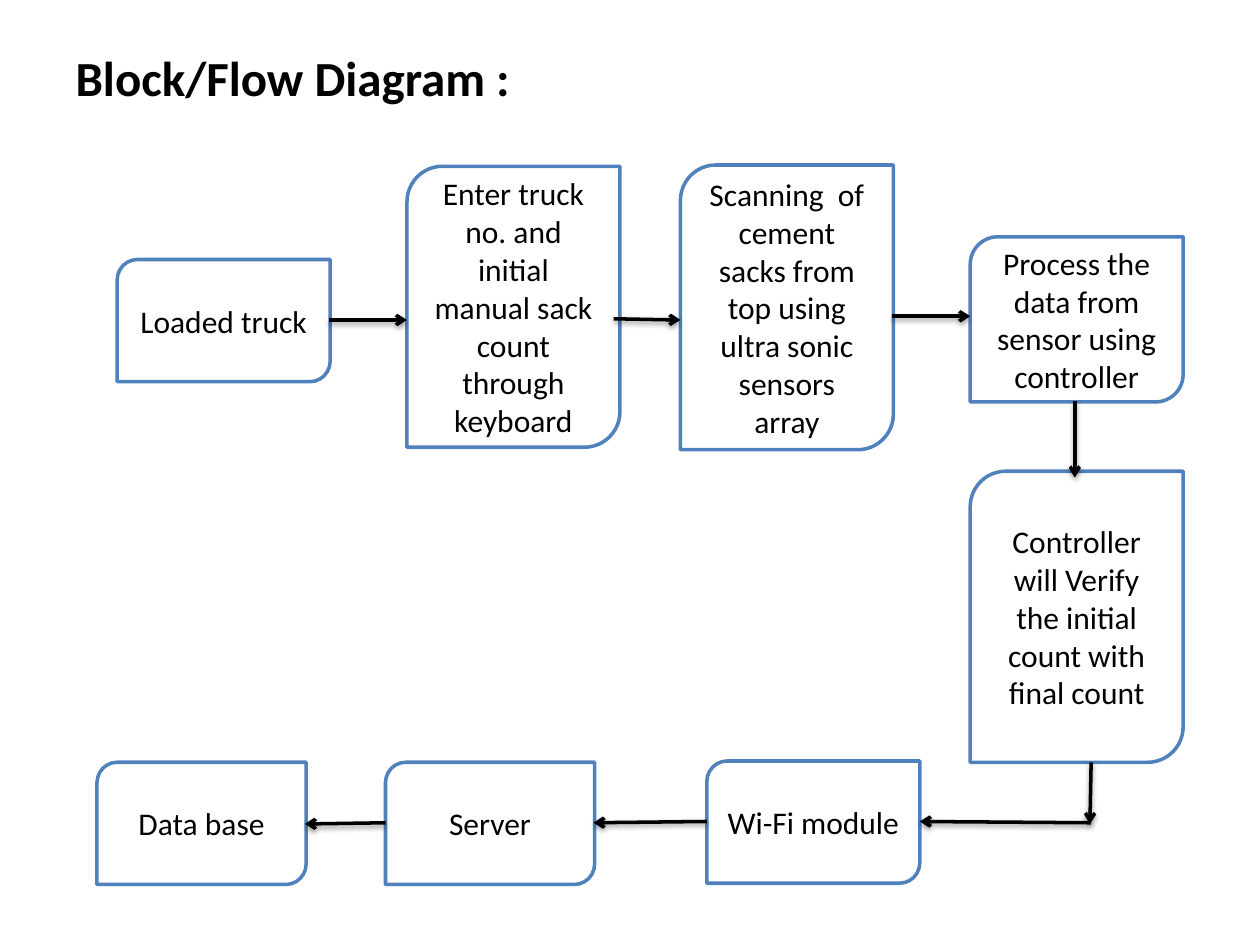
from lxml.etree import SubElement
from pptx import Presentation
from pptx.dml.color import RGBColor
from pptx.enum.shapes import MSO_CONNECTOR, MSO_SHAPE
from pptx.enum.text import MSO_ANCHOR, PP_ALIGN
from pptx.oxml.ns import qn
from pptx.util import Inches, Pt

COLORS = {"ink": "000000", "paper": "FFFFFF", "border": "4F81BD"}
GRID_COLUMNS, GRID_ROWS = 100, 75


def write_text(frame, text, size=18, bold=False, align=PP_ALIGN.CENTER,
               anchor=MSO_ANCHOR.MIDDLE, color="ink"):
    frame.word_wrap = True
    frame.vertical_anchor = anchor
    frame.text = text
    for paragraph in frame.paragraphs:
        paragraph.alignment = align
        for run in paragraph.runs:
            run.font.name = "Calibri"
            run.font.size = Pt(size)
            run.font.bold = bold
            run.font.color.rgb = RGBColor.from_string(COLORS[color])


class FlowSlide:
    line_width = Pt(2)

    def __init__(self, deck):
        self.column = deck.slide_width / GRID_COLUMNS
        self.row = deck.slide_height / GRID_ROWS
        self.slide = deck.slides.add_slide(deck.slide_layouts[5])

    def place(self, column, row):
        return round(column * self.column), round(row * self.row)

    def outline(self, line, color):
        line.color.rgb = RGBColor.from_string(COLORS[color])
        line.width = self.line_width

    def title(self, text, column, row, columns, rows):
        heading = self.slide.shapes.title
        heading.left, heading.top = self.place(column, row)
        heading.width, heading.height = self.place(columns, rows)
        heading.text_frame.margin_top = Inches(0.08)
        write_text(heading.text_frame, text, size=28, bold=True,
                   align=PP_ALIGN.LEFT, anchor=MSO_ANCHOR.TOP)

    def step(self, text, column, row, columns, rows):
        block = self.slide.shapes.add_shape(
            MSO_SHAPE.ROUND_2_DIAG_RECTANGLE,
            *self.place(column, row), *self.place(columns, rows))
        block.shadow.inherit = False
        block.fill.solid()
        block.fill.fore_color.rgb = RGBColor.from_string(COLORS["paper"])
        self.outline(block.line, "border")
        write_text(block.text_frame, text)

    def arrow(self, start, end):
        link = self.slide.shapes.add_connector(
            MSO_CONNECTOR.STRAIGHT, *self.place(*start), *self.place(*end))
        self.outline(link.line, "ink")
        properties = link.line._get_or_add_ln()
        SubElement(properties, qn("a:tailEnd"), type="arrow")
        effects = SubElement(link._element.spPr, qn("a:effectLst"))
        shadow = SubElement(effects, qn("a:outerShdw"), blurRad=str(Pt(3.1)),
                            dist=str(Pt(1.6)), dir="5400000", rotWithShape="0")
        shade = SubElement(shadow, qn("a:srgbClr"), val=COLORS["ink"])
        SubElement(shade, qn("a:alpha"), val="38000")


STEPS = [
    ("Loaded truck", 9.3, 20.6, 16.9, 9.7),
    ("Controller will Verify the initial count with final count",
     77, 37.4, 16.9, 23.1),
    ("Process the data from sensor using controller", 77, 18.8, 16.9, 13.1),
    ("Enter truck no. and initial manual sack count through\nkeyboard",
     32.3, 13.2, 16.9, 22.3),
    ("Scanning  of cement sacks from top using ultra sonic sensors array",
     54, 13.1, 16.9, 22.6),
    ("Server", 30.6, 60.5, 16.6, 9.7),
    ("Wi-Fi module", 56.1, 60.4, 16.9, 9.7),
    ("Data base", 7.7, 60.5, 16.6, 9.7),
]
ARROWS = [
    ((26.1, 25.4), (32.3, 25.4)),
    ((48.7, 25.3), (54, 25.4)),
    ((70.8, 25.1), (77, 25.1)),
    ((85.3, 31.8), (85.3, 37.9)),
    ((30.6, 65.3), (24.2, 65.4)),
    ((56.1, 65.2), (47.1, 65.3)),
    ((86.6, 65.3), (73, 65.2)),
    ((86.6, 60.5), (86.5, 65.4)),
]


def main():
    deck = Presentation()
    deck.slide_width, deck.slide_height = Inches(10), Inches(7.5)
    flow = FlowSlide(deck)
    flow.title("Block/Flow Diagram :", 5, 3, 90, 12.5)
    for step in STEPS:
        flow.step(*step)
    for start, end in ARROWS:
        flow.arrow(start, end)
    deck.save("out.pptx")


if __name__ == "__main__":
    main()
